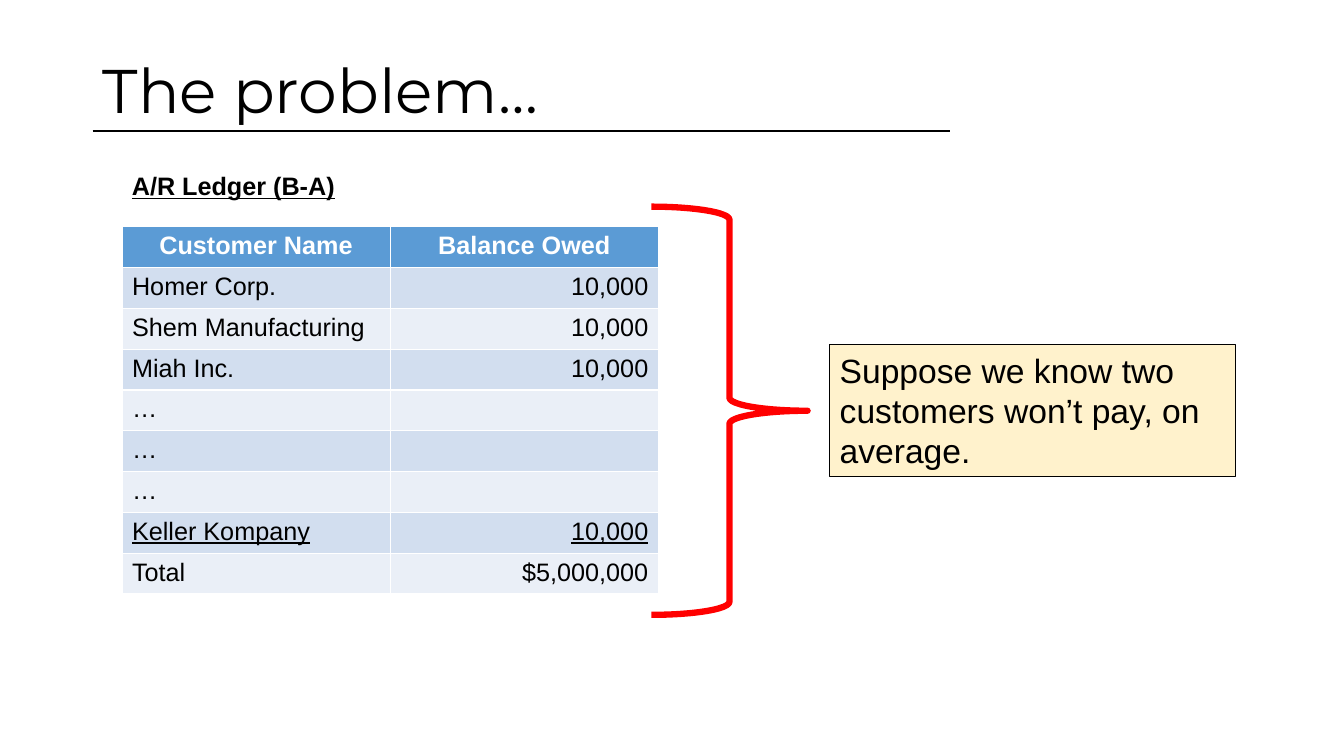
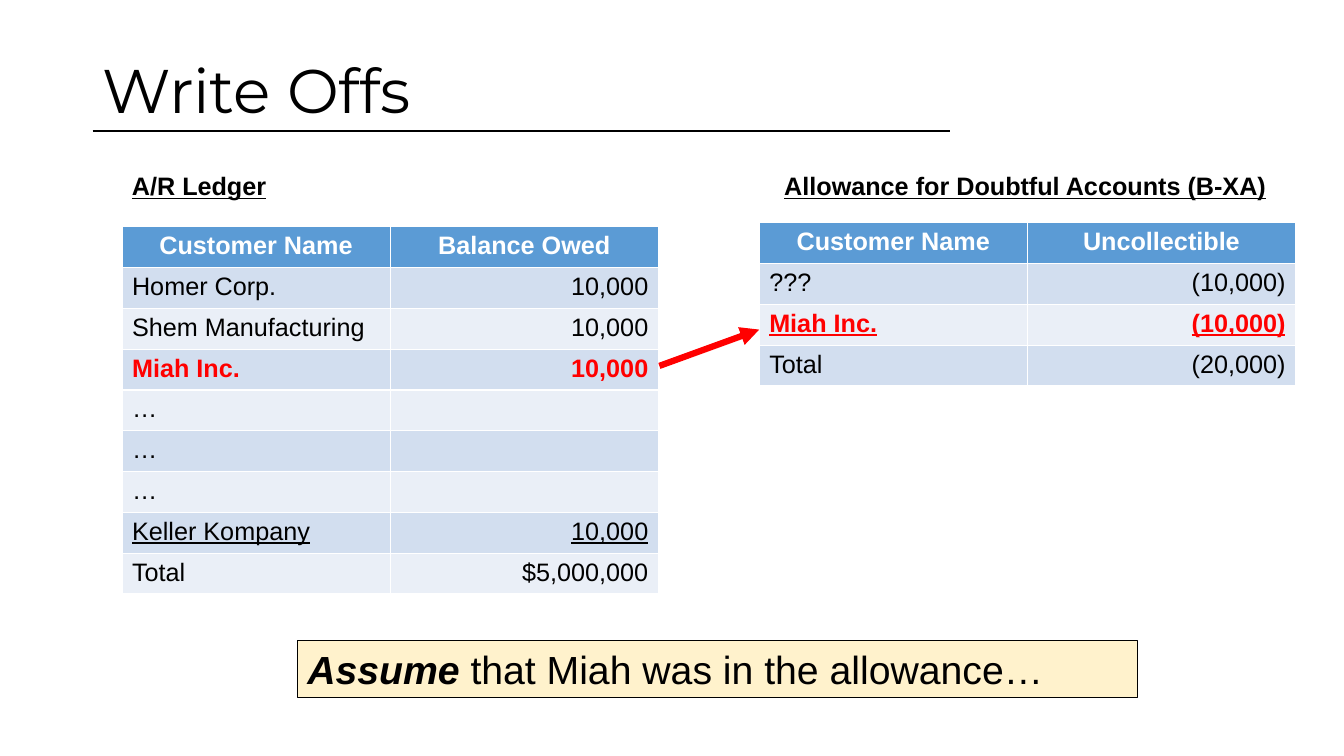
import pptx
import pptx.util
import pptx.dml.color
import pptx.enum.shapes
import pptx.enum.text
import lxml.etree
from dataclasses import dataclass

PX = 9144
ALIGN = pptx.enum.text.PP_ALIGN


@dataclass(frozen=True)
class Theme:
    title_font: str = "Montserrat"
    body_font: str = "Arial"
    ink: str = "000000"
    header_ink: str = "FFFFFF"
    header_fill: str = "5B9BD5"
    bands: tuple = ("D2DEEF", "EAEFF7")
    accent: str = "FF0000"
    note_fill: str = "FFF2CC"
    title_size: int = 44
    table_size: int = 18
    rule_width: float = 1
    note_width: float = 0.75
    accent_width: float = 4.5


THEME = Theme()
SLIDE_SIZE = (1333, 750)
TITLE_BOX = (92, 20, 1150, 145)
TITLE_RULE = (92, 130, 942, 130)
COLUMN_WIDTH, ROW_HEIGHT = 266, 40.5
UNDERLINED = {"underline": True}
WRITTEN_OFF = {"bold": True, "color": THEME.accent}


def receivables(miah_style):
    return [
        ("Customer Name", "Balance Owed", {}),
        ("Homer Corp.", "10,000", {}),
        ("Shem Manufacturing", "10,000", {}),
        ("Miah Inc.", "10,000", miah_style),
        *[("…", "", {})] * 3,
        ("Keller Kompany", "10,000", UNDERLINED),
        ("Total", "$5,000,000", {}),
    ]


ALLOWANCE = [
    ("Customer Name", "Uncollectible", {}),
    ("???", "(10,000)", {}),
    ("Miah Inc.", "(10,000)", WRITTEN_OFF | UNDERLINED),
    ("Total", "(20,000)", {}),
]

SLIDES = [
    {
        "title": "The problem…",
        "ledgers": [
            {"heading": "A/R Ledger (B-A)", "heading_box": (121, 164, 224, 40),
             "corner": (121, 225), "rows": receivables({})},
        ],
        "brace": (646, 205, 155, 405),
        "note": {"box": (823, 342, 402, 131), "size": 24,
                 "runs": [("Suppose we know two customers won’t pay, on average.", False)]},
    },
    {
        "title": "Write Offs",
        "ledgers": [
            {"heading": "A/R Ledger", "heading_box": (121, 164, 155, 40),
             "corner": (121, 225), "rows": receivables(WRITTEN_OFF)},
            {"heading": "Allowance for Doubtful Accounts (B-XA)",
             "heading_box": (768, 164, 503, 40),
             "corner": (753, 221), "rows": ALLOWANCE},
        ],
        "note": {"box": (295, 635, 833, 57), "size": 28,
                 "runs": [("Assume", True), (" that Miah was in the allowance…", False)]},
        "arrow": (654, 363, 753, 327),
    },
]


def emu(lengths):
    return [pptx.util.Emu(round(length * PX)) for length in lengths]


def rgb(value):
    return pptx.dml.color.RGBColor.from_string(value)


def set_font(font, size, name=THEME.body_font, color=THEME.ink, bold=False, underline=False):
    font.size = pptx.util.Pt(size)
    font.name = name
    font.bold = bold
    font.underline = underline
    font.color.rgb = rgb(color)


def set_line(line, color, width):
    line.color.rgb = rgb(color)
    line.width = pptx.util.Pt(width)


def add_text(slide, box, text, size, wrap=True, **style):
    holder = slide.shapes.add_textbox(*emu(box))
    holder.text_frame.word_wrap = wrap
    paragraph = holder.text_frame.paragraphs[0]
    if text:
        paragraph.text = text
    set_font(paragraph.font, size, **style)
    return holder, paragraph


def add_line(slide, ends, color, width):
    connector = slide.shapes.add_connector(
        pptx.enum.shapes.MSO_CONNECTOR.STRAIGHT, *emu(ends))
    set_line(connector.line, color, width)
    properties = connector.line._get_or_add_ln().getparent()
    lxml.etree.SubElement(properties, pptx.oxml.ns.qn("a:effectLst"))
    return connector


def add_title(slide, text):
    add_line(slide, TITLE_RULE, THEME.ink, THEME.rule_width)
    title, paragraph = add_text(slide, TITLE_BOX, text, THEME.title_size, name=THEME.title_font)
    title.text_frame.vertical_anchor = pptx.enum.text.MSO_ANCHOR.MIDDLE
    paragraph.line_spacing = 0.9


def add_ledger(slide, heading, heading_box, corner, rows):
    add_text(slide, heading_box, heading, THEME.table_size, wrap=False, bold=True, underline=True)
    size = (2 * COLUMN_WIDTH, len(rows) * ROW_HEIGHT)
    ledger = slide.shapes.add_table(len(rows), 2, *emu(corner + size)).table
    for row_index, (customer, amount, style) in enumerate(rows):
        header = row_index == 0
        fill = THEME.header_fill if header else THEME.bands[(row_index - 1) % 2]
        if header:
            style = {"bold": True, "color": THEME.header_ink}
        for column_index, text in enumerate((customer, amount)):
            cell = ledger.cell(row_index, column_index)
            cell.fill.solid()
            cell.fill.fore_color.rgb = rgb(fill)
            paragraph = cell.text_frame.paragraphs[0]
            if text:
                paragraph.text = text
            paragraph.alignment = ALIGN.CENTER if header else (ALIGN.LEFT, ALIGN.RIGHT)[column_index]
            set_font(paragraph.font, THEME.table_size, **style)


def add_brace(slide, box):
    brace = slide.shapes.add_shape(pptx.enum.shapes.MSO_SHAPE.RIGHT_BRACE, *emu(box))
    brace.shadow.inherit = False
    brace.fill.background()
    set_line(brace.line, THEME.accent, THEME.accent_width)


def add_note(slide, box, size, runs):
    note, paragraph = add_text(slide, box, "", size)
    note.fill.solid()
    note.fill.fore_color.rgb = rgb(THEME.note_fill)
    set_line(note.line, THEME.ink, THEME.note_width)
    for text, stressed in runs:
        run = paragraph.add_run()
        run.text = text
        if stressed:
            run.font.bold = run.font.italic = True


def add_arrow(slide, ends):
    arrow = add_line(slide, ends, THEME.accent, THEME.accent_width)
    lxml.etree.SubElement(
        arrow.line._get_or_add_ln(), pptx.oxml.ns.qn("a:tailEnd"), type="triangle")


def main():
    deck = pptx.Presentation()
    deck.slide_width, deck.slide_height = emu(SLIDE_SIZE)
    for content in SLIDES:
        slide = deck.slides.add_slide(deck.slide_layouts[6])
        add_title(slide, content["title"])
        for ledger in content["ledgers"]:
            add_ledger(slide, **ledger)
        if "brace" in content:
            add_brace(slide, content["brace"])
        add_note(slide, **content["note"])
        if "arrow" in content:
            add_arrow(slide, content["arrow"])
    deck.save("out.pptx")


if __name__ == "__main__":
    main()
